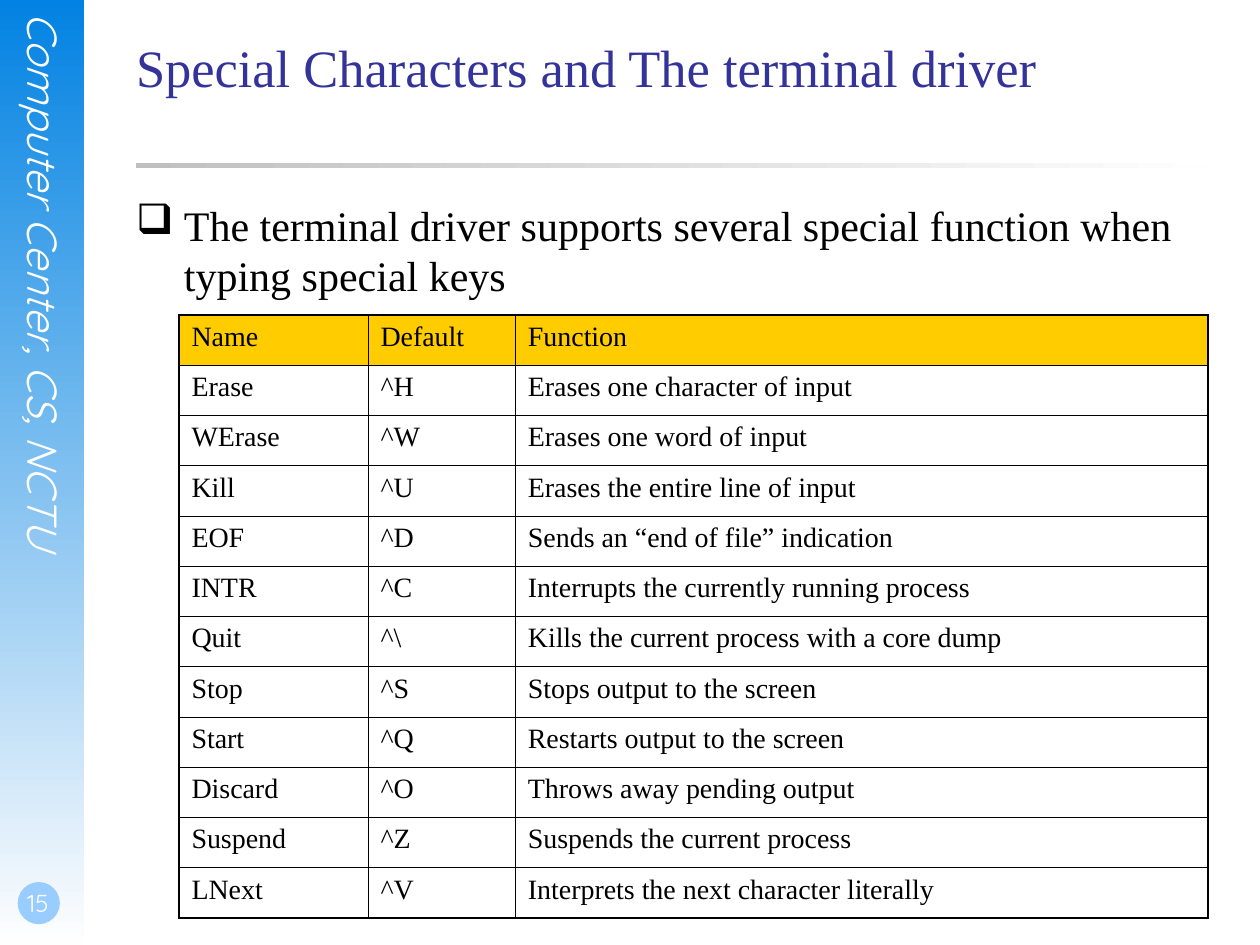
from dataclasses import dataclass

from lxml import etree
from pptx import Presentation
from pptx.dml.color import RGBColor
from pptx.enum.shapes import MSO_SHAPE
from pptx.enum.text import MSO_ANCHOR, PP_ALIGN
from pptx.oxml.ns import qn
from pptx.util import Inches, Pt

RECTANGLE, OVAL = MSO_SHAPE.RECTANGLE, MSO_SHAPE.OVAL
TOP, BOTTOM = MSO_ANCHOR.TOP, MSO_ANCHOR.BOTTOM
LEFT, CENTER = PP_ALIGN.LEFT, PP_ALIGN.CENTER


@dataclass(frozen=True)
class Theme:
    serif: str = "Times New Roman"
    sans: str = "Quicksand"
    title_size: float = 30
    body_size: float = 24
    cell_size: float = 16
    number_size: float = 14
    title: str = "333399"
    ink: str = "000000"
    white: str = "FFFFFF"
    band: str = "0282E2"
    fade: str = "FEFEFE"
    rule: str = "C0C0C0"
    badge: str = "99CCFF"
    header: str = "FFCC00"
    outer_line: float = 1.08
    inner_line: float = 0.45


THEME = Theme()
KEYS = [
    ("Name", "Default", "Function"),
    ("Erase", "^H", "Erases one character of input"),
    ("WErase", "^W", "Erases one word of input"),
    ("Kill", "^U", "Erases the entire line of input"),
    ("EOF", "^D", "Sends an “end of file” indication"),
    ("INTR", "^C", "Interrupts the currently running process"),
    ("Quit", "^\\", "Kills the current process with a core dump"),
    ("Stop", "^S", "Stops output to the screen"),
    ("Start", "^Q", "Restarts output to the screen"),
    ("Discard", "^O", "Throws away pending output"),
    ("Suspend", "^Z", "Suspends the current process"),
    ("LNext", "^V", "Interprets the next character literally"),
]
COLUMN_SHARES = (1.5, 1.17, 5.5)


def inches(box):
    return [Inches(length) for length in box]


def style(paragraph, font, size, color, italic=None):
    paragraph.font.name = font
    paragraph.font.size = Pt(size)
    paragraph.font.color.rgb = RGBColor.from_string(color)
    paragraph.font.italic = italic


def add_panel(slide, kind, box, color, fade=None, angle=0):
    """Borderless shape with a plain fill, or a gradient when fade is given."""
    panel = slide.shapes.add_shape(kind, *inches(box))
    panel.shadow.inherit = False
    panel.line.fill.background()
    if fade:
        panel.fill.gradient()
        panel.fill.gradient_angle = angle
        for stop, value in zip(panel.fill.gradient_stops, (color, fade)):
            stop.color.rgb = RGBColor.from_string(value)
    else:
        panel.fill.solid()
        panel.fill.fore_color.rgb = RGBColor.from_string(color)


def add_text(slide, box, text, align=LEFT, anchor=TOP, margins=(0, 0, 0, 0)):
    frame = slide.shapes.add_textbox(*inches(box)).text_frame
    frame.word_wrap = True
    frame.vertical_anchor = anchor
    (frame.margin_left, frame.margin_top,
     frame.margin_right, frame.margin_bottom) = inches(margins)
    paragraph = frame.paragraphs[0]
    paragraph.text = text
    paragraph.alignment = align
    return frame, paragraph


def add_sidebar(slide, box):
    left, top, width, height = box
    add_panel(slide, RECTANGLE, box, THEME.band, THEME.fade, 270)

    # Course owner, running downwards
    frame, owner = add_text(
        slide, (left + width * 0.22, top + 0.1, width * 0.6, height * 0.68),
        "Computer Center, CS, NCTU", CENTER)
    frame._txBody.bodyPr.set("vert", "eaVert")
    style(owner, THEME.sans, THEME.body_size, THEME.white, True)

    # Page number on its badge
    badge = width / 2
    add_panel(slide, OVAL, (left + 0.14, top + height - 0.5, badge, badge), THEME.badge)
    _, number = add_text(
        slide, (left, top + height - 0.67, width * 0.87, 0.5),
        "15", CENTER, BOTTOM, (0.02, 0, 0, 0.05))
    style(number, THEME.sans, THEME.number_size, THEME.white)


def add_heading(slide, box):
    left, top, width, height = box
    add_panel(slide, RECTANGLE, (left, top + height * 0.81, width, 0.04),
              THEME.fade, THEME.rule, 180)
    _, title = add_text(slide, box, "Special Characters and The terminal driver")
    style(title, THEME.serif, THEME.title_size, THEME.title)


def add_body(slide, box):
    _, point = add_text(
        slide, box,
        "The terminal driver supports several special function when typing special keys")
    properties = point._p.get_or_add_pPr()
    properties.set("marL", str(Inches(0.38)))
    properties.set("indent", str(-Inches(0.38)))
    bullet_color = etree.SubElement(properties, qn("a:buClr"))
    etree.SubElement(bullet_color, qn("a:srgbClr"), val=THEME.ink)
    etree.SubElement(properties, qn("a:buChar"), char="❑")
    style(point, THEME.serif, THEME.body_size, THEME.ink)


def set_borders(cell, widths):
    """Draw left, right, top and bottom borders, ahead of the cell fill."""
    properties = cell._tc.get_or_add_tcPr()
    for position, (side, width) in enumerate(zip("LRTB", widths)):
        line = etree.Element(qn(f"a:ln{side}"), w=str(Pt(width)))
        fill = etree.SubElement(line, qn("a:solidFill"))
        etree.SubElement(fill, qn("a:srgbClr"), val=THEME.ink)
        properties.insert(position, line)


def add_key_table(slide, box):
    rows, columns = len(KEYS), len(COLUMN_SHARES)
    table = slide.shapes.add_table(rows, columns, *inches(box)).table
    table.horz_banding = False
    for column, share in zip(table.columns, COLUMN_SHARES):
        column.width = Inches(box[2] * share / sum(COLUMN_SHARES))
    for r, key in enumerate(KEYS):
        for c, text in enumerate(key):
            cell = table.cell(r, c)
            cell.text = text
            style(cell.text_frame.paragraphs[0], THEME.serif, THEME.cell_size, THEME.ink)
            cell.text_frame.paragraphs[0].font.bold = False
            if r == 0:
                cell.fill.solid()
                cell.fill.fore_color.rgb = RGBColor.from_string(THEME.header)
            else:
                cell.fill.background()
            edges = (c == 0, c == columns - 1, r == 0, r == rows - 1)
            set_borders(cell, [THEME.outer_line if edge else THEME.inner_line
                               for edge in edges])


def main():
    deck = Presentation()
    deck.slide_width, deck.slide_height = Inches(10), Inches(7.5)
    slide = deck.slides.add_slide(deck.slide_layouts[6])
    content_left, content_width = 1.08, 8.5

    add_sidebar(slide, (0, 0, 0.67, 7.5))
    add_heading(slide, (content_left, 0.28, content_width, 1.25))
    add_body(slide, (content_left, 1.58, content_width, 5.08))
    add_key_table(slide, (1.42, 2.5, 8.17, 4.79))
    deck.save("out.pptx")


if __name__ == "__main__":
    main()
